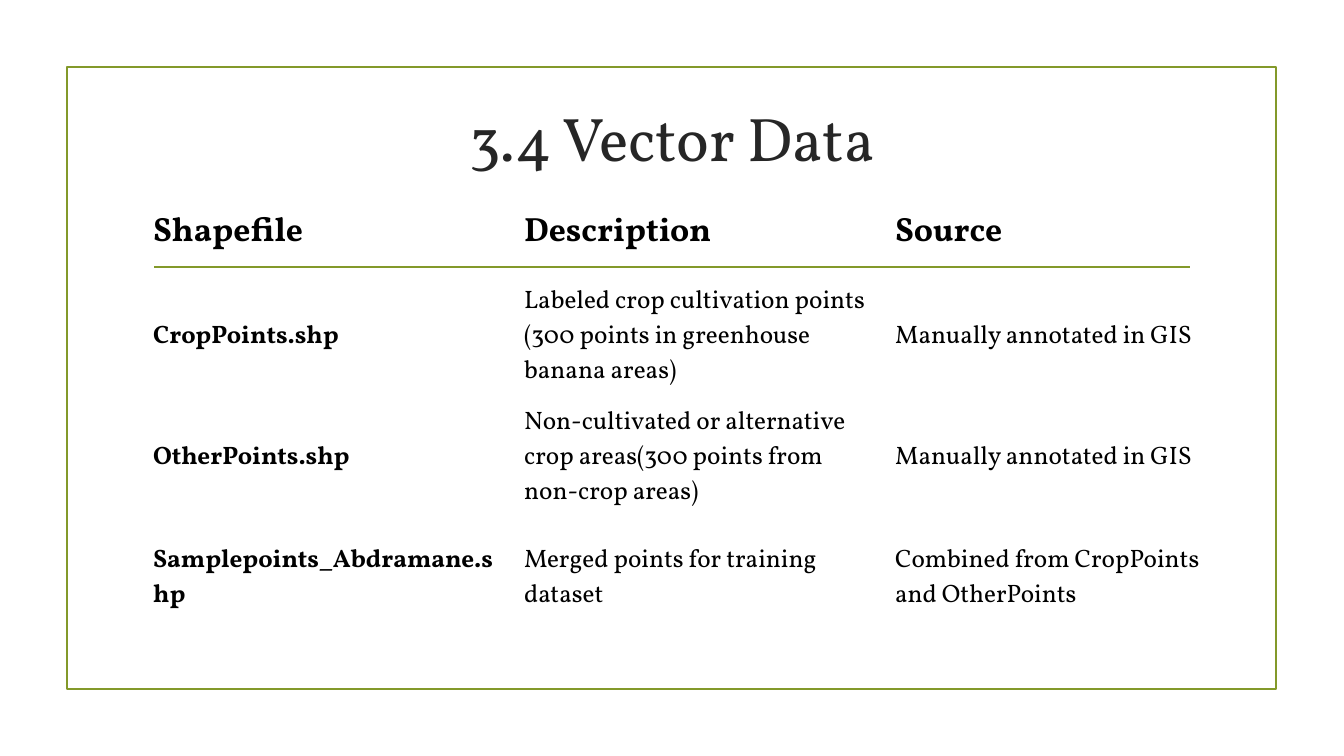
from dataclasses import dataclass

from lxml.etree import SubElement
from pptx import Presentation
from pptx.dml.color import RGBColor
from pptx.enum.shapes import MSO_CONNECTOR as Connector, MSO_SHAPE as Shape
from pptx.enum.text import MSO_ANCHOR as Anchor, MSO_AUTO_SIZE as AutoSize, PP_ALIGN as Align
from pptx.oxml.ns import qn
from pptx.slide import Slide
from pptx.util import Pt

OLIVE = RGBColor(0x83, 0x99, 0x2A)
CHARCOAL = RGBColor(0x26, 0x26, 0x26)
BLACK = RGBColor(0, 0, 0)
FONT = "Vollkorn"
LINE_WIDTH = Pt(1.25)

COLUMN_WIDTH = Pt(265)
HEADER_HEIGHT = Pt(62)
ROW_HEIGHT = Pt(86.4)


@dataclass(frozen=True)
class Shapefile:
    name: str
    description: str
    source: str


HEADINGS = Shapefile("Shapefile", "Description", "Source")
SHAPEFILES = [
    Shapefile("CropPoints.shp",
              "Labeled crop cultivation points (300 points in greenhouse banana areas)",
              "Manually annotated in GIS"),
    Shapefile("OtherPoints.shp",
              "Non-cultivated or alternative crop areas(300 points from non-crop areas)",
              "Manually annotated in GIS"),
    Shapefile("Samplepoints_Abdramane.shp",
              "Merged points for training dataset",
              "Combined from CropPoints and OtherPoints"),
]


def set_all(target: object, values: dict) -> None:
    for name, value in values.items():
        setattr(target, name, value)


def write(frame, text: str, size: float, color: RGBColor, bold: bool = False) -> None:
    span = frame.paragraphs[0].add_run()
    span.text = text
    set_all(span.font, {"name": FONT, "size": Pt(size), "bold": bold})
    span.font.color.rgb = color


def style_line(line) -> None:
    line.color.rgb = OLIVE
    line.width = LINE_WIDTH


def clear_borders(cell) -> None:
    properties = cell._tc.get_or_add_tcPr()
    for side in ("a:lnL", "a:lnR", "a:lnT", "a:lnB"):
        SubElement(SubElement(properties, qn(side)), qn("a:noFill"))


def add_frame(page: Slide) -> None:
    frame = page.shapes.add_shape(Shape.RECTANGLE, Pt(47.7), Pt(48), Pt(864), Pt(444.2))
    frame.shadow.inherit = False
    frame.fill.background()
    style_line(frame.line)


def add_rule(page: Slide) -> None:
    rule = page.shapes.add_connector(Connector.STRAIGHT, Pt(110.2), Pt(190.8), Pt(850.3), Pt(190.8))
    style_line(rule.line)
    SubElement(rule._element.spPr, qn("a:effectLst"))


def add_title(page: Slide, text: str) -> None:
    title = page.shapes.title
    set_all(title, {"left": Pt(102.2), "top": Pt(46.4), "width": Pt(756), "height": Pt(103)})
    set_all(title.text_frame, {"vertical_anchor": Anchor.MIDDLE, "word_wrap": True,
                               "auto_size": AutoSize.NONE})
    title.text_frame.paragraphs[0].alignment = Align.CENTER
    write(title.text_frame, text, 44, CHARCOAL)


def add_shapefile_table(page: Slide, rows: list[Shapefile]) -> None:
    heights = [HEADER_HEIGHT] + [ROW_HEIGHT] * (len(rows) - 1)
    table = page.shapes.add_table(len(rows), 3, Pt(102.2), Pt(135.4),
                                  COLUMN_WIDTH * 3, sum(heights)).table
    set_all(table, {"first_row": False, "horz_banding": False})
    for column in table.columns:
        column.width = COLUMN_WIDTH
    for row_index, (row, height) in enumerate(zip(rows, heights)):
        table.rows[row_index].height = height
        is_header = row_index == 0
        for column_index, text in enumerate((row.name, row.description, row.source)):
            cell = table.cell(row_index, column_index)
            clear_borders(cell)
            cell.fill.background()
            cell.vertical_anchor = Anchor.MIDDLE
            write(cell.text_frame, text, 24 if is_header else 18, BLACK,
                  bold=is_header or column_index == 0)


def main() -> None:
    deck = Presentation()
    set_all(deck, {"slide_width": Pt(960), "slide_height": Pt(540)})
    page = deck.slides.add_slide(deck.slide_layouts.get_by_name("Title Only"))

    # Border and header rule
    add_frame(page)
    add_rule(page)

    # Title and table
    add_title(page, "3.4 Vector Data")
    add_shapefile_table(page, [HEADINGS, *SHAPEFILES])

    deck.save("out.pptx")


if __name__ == "__main__":
    main()
